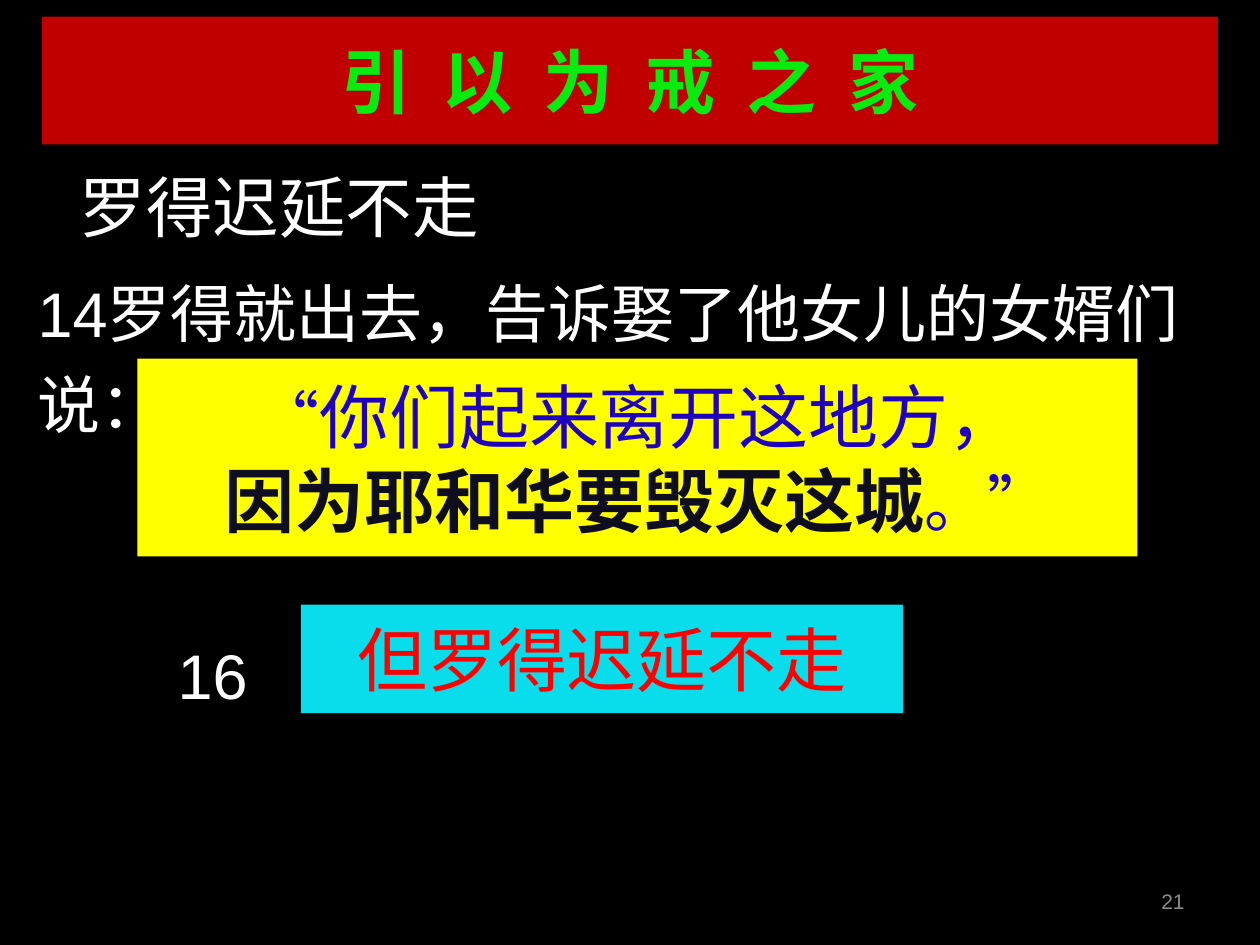
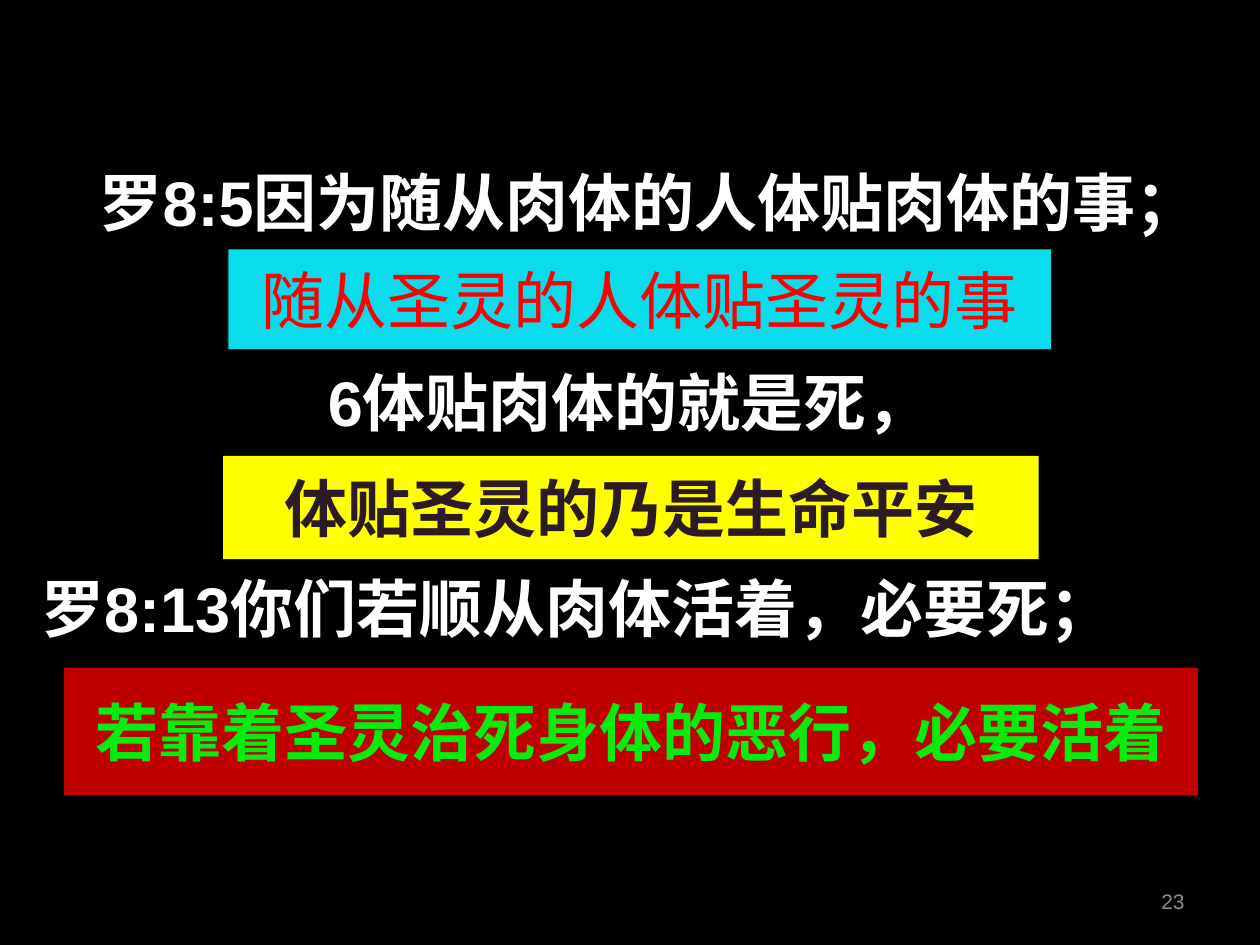
from pptx import Presentation
from pptx.dml.color import RGBColor
from pptx.enum import lang, shapes, text
from pptx.util import Pt

HUES = {
    "back": "000000", "white": "FFFFFF", "grey": "8C8C8C",
    "red": "C00000", "green": "08EB0F", "cyan": "09DCEB", "alert": "FF0000",
    "yellow": "FFFF00", "blue": "2000C0", "ink": "0F0D20", "plum": "2C1A27",
}
FONT = "Arial"
LEFT, MID, RIGHT = text.PP_ALIGN.LEFT, text.PP_ALIGN.CENTER, text.PP_ALIGN.RIGHT
TITLE, BLANK = 5, 6


def hue(name):
    return RGBColor.from_string(HUES[name])


class Deck:
    def __init__(self):
        self.prs = Presentation()
        self.prs.slide_width, self.prs.slide_height = Pt(720), Pt(540)
        self.slide = None

    def page(self, layout, number):
        self.slide = self.prs.slides.add_slide(self.prs.slide_layouts[layout])
        fill = self.slide.background.fill
        fill.solid()
        fill.fore_color.rgb = hue("back")
        frame = self.box(516, 500.5, 168, 28.5)
        frame.vertical_anchor = text.MSO_ANCHOR.MIDDLE
        self.line(frame.paragraphs[0], [(number, 12, "grey", False)], RIGHT)

    def box(self, x, y, w, h):
        area = self.slide.shapes.add_textbox(Pt(x), Pt(y), Pt(w), Pt(h))
        area.text_frame.word_wrap = True
        return area.text_frame

    def line(self, para, runs, align=MID, shift=0, gap=0, pitch=1.0):
        """Write (words, size, colour, bold) runs; shift is the left margin."""
        para.alignment = align
        para.space_before = Pt(gap)
        para.line_spacing = pitch
        if shift:
            para._p.get_or_add_pPr().set("marL", str(Pt(shift)))
        for words, size, tint, bold in runs:
            run = para.add_run()
            run.text = words
            font = run.font
            font.name, font.size, font.bold = FONT, Pt(size), bold
            font.color.rgb = hue(tint)
            font.language_id = lang.MSO_LANGUAGE_ID.SIMPLIFIED_CHINESE

    def body(self, y, lines):
        """Write verses, each as (words, size, bold, line options)."""
        frame = self.box(14.4, y, 690, 440)
        for i, (words, size, bold, opts) in enumerate(lines):
            para = frame.add_paragraph() if i else frame.paragraphs[0]
            self.line(para, [(words, size, "white", bold)], **opts)

    def fill(self, shape, tint, lines):
        shape.fill.solid()
        shape.fill.fore_color.rgb = hue(tint)
        shape.line.fill.background()
        frame = shape.text_frame
        frame.word_wrap = True
        frame.auto_size = text.MSO_AUTO_SIZE.NONE
        frame.vertical_anchor = text.MSO_ANCHOR.MIDDLE
        for i, runs in enumerate(lines):
            para = frame.add_paragraph() if i else frame.paragraphs[0]
            self.line(para, runs)

    def band(self, x, y, w, h, tint, *lines):
        shape = self.slide.shapes.add_shape(
            shapes.MSO_SHAPE.RECTANGLE, Pt(x), Pt(y), Pt(w), Pt(h))
        shape.shadow.inherit = False
        self.fill(shape, tint, lines)

    def title(self, words):
        shape = self.slide.shapes.title
        shape.left, shape.top = Pt(24), Pt(9.5)
        shape.width, shape.height = Pt(672), Pt(73)
        self.fill(shape, "red", [[(words, 40, "green", True)]])
        for run in shape.text_frame.paragraphs[0].runs:
            run._r.get_or_add_rPr().set("spc", "450")


def lot(deck):
    deck.page(TITLE, "21")
    deck.body(91.5, [
        ("罗得迟延不走", 38, False, dict(align=LEFT, shift=24)),
        ("14罗得就出去，告诉娶了他女儿的女婿们说：", 36, False,
         dict(align=LEFT, gap=7.5, pitch=1.2)),
        ("16", 36, False, dict(align=LEFT, shift=80, gap=112)),
    ])
    deck.title("引 以 为 戒 之 家")
    deck.band(172, 345.5, 344, 62, "cyan",
              [("但罗得迟延不走", 40, "alert", False)])
    deck.band(78.5, 205, 571.5, 113, "yellow",
              [("“", 36, "blue", False),
               ("你们起来离开这地方，", 40, "blue", False)],
              [("因为耶和华要毁灭这城", 40, "ink", True),
               ("。”", 36, "blue", False)])


def spirit(deck):
    deck.page(BLANK, "23")
    deck.body(85.5, [
        ("罗8:5因为随从肉体的人体贴肉体的事；", 36, True,
         dict(shift=23, pitch=1.1)),
        ("6体贴肉体的就是死，", 36, True, dict(gap=62.5, pitch=1.2)),
        ("罗8:13你们若顺从肉体活着，必要死；", 36, True,
         dict(align=LEFT, shift=2, gap=66, pitch=1.2)),
    ])
    deck.band(130.5, 142.5, 470, 57, "cyan",
              [("随从圣灵的人体贴圣灵的事", 36, "alert", False)])
    deck.band(127.5, 260.5, 466, 59, "yellow",
              [("体贴圣灵的乃是生命平安", 36, "plum", True)])
    deck.band(36.5, 381.5, 648, 73, "red",
              [("若靠着圣灵治死身体的恶行，必要活着", 36, "green", True)])


def main():
    deck = Deck()
    lot(deck)
    spirit(deck)
    deck.prs.save("out.pptx")


if __name__ == "__main__":
    main()
